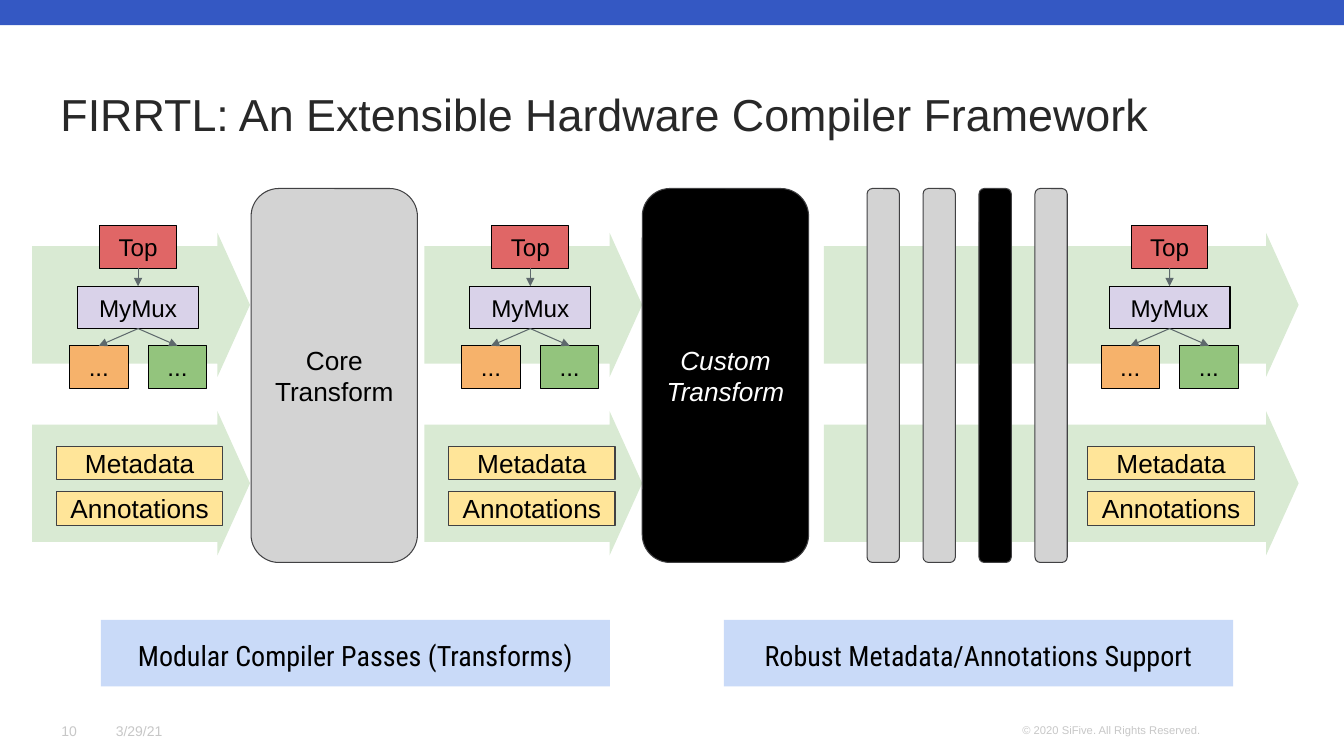
from lxml.etree import SubElement
from pptx import Presentation
from pptx.dml.color import RGBColor
from pptx.enum.shapes import MSO_CONNECTOR, MSO_SHAPE as Shape
from pptx.enum.text import MSO_ANCHOR as Anchor, MSO_AUTO_SIZE, PP_ALIGN as Align
from pptx.oxml.ns import qn
from pptx.util import Inches, Pt

COLORS = {
    "bar": "3458C3", "ink": "282828", "black": "000000", "white": "FFFFFF",
    "flow": "D9EAD3", "core": "D3D3D3", "outline": "414143", "edge": "5E696C",
    "top": "E06666", "mux": "D9D2E9", "left": "F6B26B", "right": "93C47D",
    "data": "FFE599", "caption": "C9DAF8",
}


def rgb(name):
    return RGBColor.from_string(COLORS[name])


def write(frame, text, size=18.7, color="black", font="Arial", italic=None,
          align=Align.CENTER, anchor=Anchor.MIDDLE, spacing=None, after=None,
          opacity=None, insets=(0.13, 0.13, 0.13, 0.13)):
    frame.word_wrap = True
    frame.auto_size = MSO_AUTO_SIZE.NONE
    frame.vertical_anchor = anchor
    (frame.margin_left, frame.margin_top,
     frame.margin_right, frame.margin_bottom) = map(Inches, insets)
    for index, line in enumerate(text.split("\n")):
        para = frame.add_paragraph() if index else frame.paragraphs[0]
        para.alignment = align
        if spacing:
            para.line_spacing = spacing
        if after:
            para.space_after = Pt(after)
        span = para.add_run()
        span.text = line
        span.font.name = font
        span.font.size = Pt(size)
        span.font.italic = italic
        span.font.color.rgb = rgb(color)
        if opacity:
            for tint in span._r.iter(qn("a:srgbClr")):
                SubElement(tint, qn("a:alpha"), val=str(opacity * 1000))


class Canvas:
    margins = (0.1, 0.05, 0.1, 0.05)

    def __init__(self, page):
        self.page = page

    def title(self, text, *area):
        box = self.page.shapes.title
        box.left, box.top, box.width, box.height = map(Inches, area)
        write(box.text_frame, text, size=32, color="ink", align=Align.LEFT,
              spacing=0.9, insets=self.margins)

    def label(self, text, *area, **style):
        box = self.page.shapes.add_textbox(*map(Inches, area))
        style = {"align": Align.LEFT, "insets": self.margins, **style}
        write(box.text_frame, text, color="ink", opacity=25, **style)

    def shape(self, kind, fill, *area, text=None, outline=None, adjust=(), parent=None, **style):
        box = (parent or self.page).shapes.add_shape(kind, *map(Inches, area))
        box.shadow.inherit = False
        box.fill.solid()
        box.fill.fore_color.rgb = rgb(fill)
        if outline:
            box.line.color.rgb = rgb(outline)
            box.line.width = Pt(0.75)
        else:
            box.line.fill.background()
        for index, value in enumerate(adjust):
            box.adjustments[index] = value
        if text:
            write(box.text_frame, text, **style)
        return box

    def flow(self, left, top, width):
        self.shape(Shape.RIGHT_ARROW, "flow", left, top, width, 1.43, adjust=(0.814, 0.226))

    def transform(self, left, width, fill, **style):
        self.shape(Shape.ROUNDED_RECTANGLE, fill, left, 1.87, width, 3.71,
                   outline="outline", adjust=(0.167,), **style)

    def arrow(self, group, start, end):
        line = group.shapes.add_connector(
            MSO_CONNECTOR.STRAIGHT,
            start.left + start.width // 2, start.top + start.height,
            end.left + end.width // 2, end.top)
        line.begin_connect(start, 2)
        line.end_connect(end, 0)
        line.line.color.rgb = rgb("edge")
        line.line.width = Pt(0.75)
        SubElement(line.line._get_or_add_ln(), qn("a:tailEnd"), type="triangle")
        SubElement(line._element.spPr, qn("a:effectLst"))

    def tree(self, center):
        group = self.page.shapes.add_group_shape()
        nodes = [("Top", "top", 0, 2.24, 0.76), ("MyMux", "mux", 0, 2.84, 1.2),
                 ("...", "left", -0.39, 3.43, 0.58), ("...", "right", 0.39, 3.43, 0.58)]
        top, mux, *leaves = [
            self.shape(Shape.RECTANGLE, fill, center + shift - width / 2, y, width, 0.42,
                       text=text, size=17.3, outline="black", parent=group)
            for text, fill, shift, y, width in nodes]
        self.arrow(group, top, mux)
        for leaf in leaves:
            self.arrow(group, mux, leaf)

    def side_data(self, left):
        for text, y in (("Metadata", 4.43), ("Annotations", 4.88)):
            self.shape(Shape.RECTANGLE, "data", left, y, 1.65, 0.33,
                       text=text, outline="outline")

    def caption(self, text, left):
        self.shape(Shape.RECTANGLE, "caption", left, 6.15, 5.05, 0.66, text=text,
                   size=20, font="Roboto Condensed", anchor=Anchor.TOP,
                   spacing=1.15, after=21.3)


def main():
    deck = Presentation()
    deck.slide_width, deck.slide_height = Inches(13.33), Inches(7.5)
    canvas = Canvas(deck.slides.add_slide(deck.slide_layouts[5]))

    canvas.shape(Shape.RECTANGLE, "bar", 0, 0, 13.33, 0.25)
    canvas.title("FIRRTL: An Extensible Hardware Compiler Framework", 0.5, 0.5, 12.33, 1.33)
    canvas.label("10", 0.51, 7, 0.5, 0.5, size=10)
    canvas.label("3/29/21", 1.05, 7, 0.75, 0.5, size=10)
    canvas.label("© 2020 SiFive. All Rights Reserved.", 8.86, 7.13, 3.25, 0.24, size=8,
                 align=Align.RIGHT, anchor=Anchor.TOP, insets=(0, 0.05, 0.2, 0.05))

    for left, width in ((0.32, 2.16), (4.21, 2.16), (8.17, 4.71)):
        for top in (2.31, 4.08):
            canvas.flow(left, top, width)

    canvas.transform(2.49, 1.65, "core", text="Core\nTransform")
    canvas.transform(6.37, 1.65, "black", text="Custom\nTransform", color="white", italic=True)
    for index, fill in enumerate(("core", "core", "black", "core")):
        canvas.transform(8.6 + 0.555 * index, 0.32, fill)

    for center in (1.37, 5.26, 11.6):
        canvas.tree(center)
        canvas.side_data(center - 0.81)

    canvas.caption("Modular Compiler Passes (Transforms)", 1)
    canvas.caption("Robust Metadata/Annotations Support", 7.18)
    deck.save("out.pptx")


if __name__ == "__main__":
    main()
